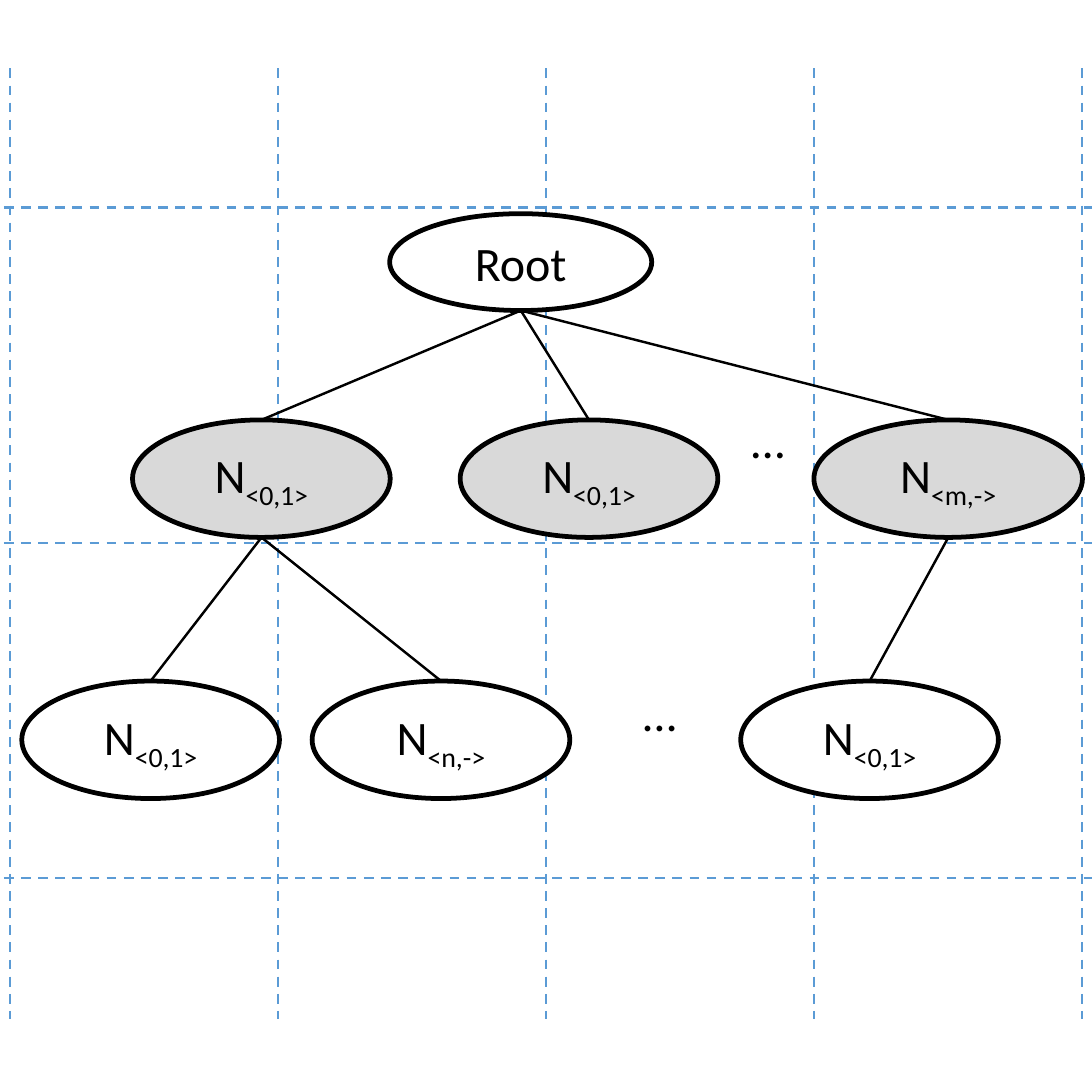
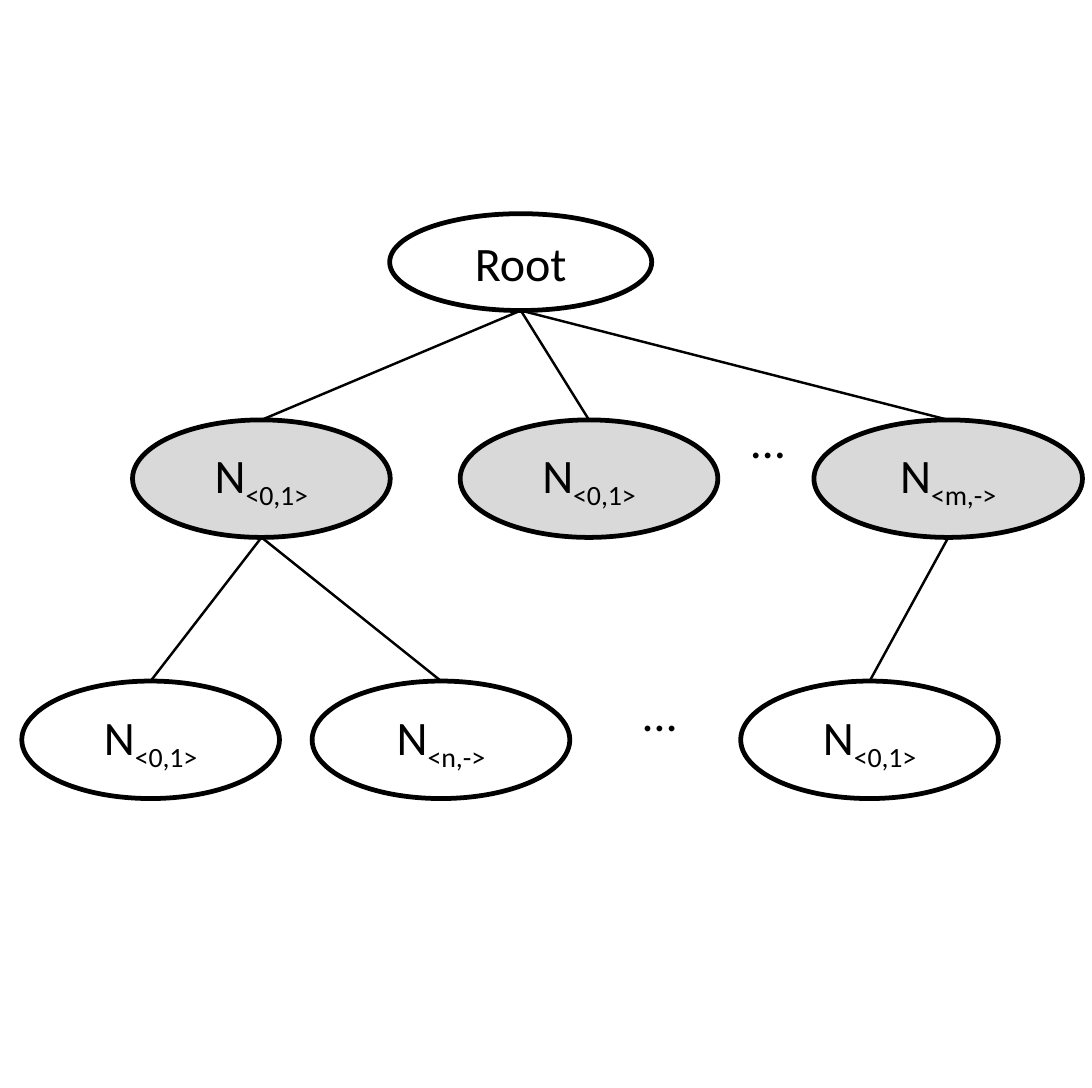
from dataclasses import dataclass
from lxml import etree
from pptx import Presentation
from pptx.dml.color import RGBColor
from pptx.enum import dml, shapes, text
from pptx.oxml.ns import qn
from pptx.util import Inches, Pt


@dataclass(frozen=True)
class Theme:
    font: str = "Calibri"
    size: float = 10
    ink: str = "000000"
    plain: str = "FFFFFF"
    shade: str = "D9D9D9"
    grid: str = "5B9BD5"
    rim: float = 1
    thin: float = 0.5


THEME = Theme()

# Slide size in units of 1/576 inch
WIDTH = Inches(1820 / 576)
HEIGHT = Inches(1814 / 576)


@dataclass(frozen=True)
class Box:
    """An area whose inner lengths are given in percent."""
    left: int
    top: int
    width: int
    height: int

    def x(self, share):
        return round(self.left + self.width * share / 100)

    def y(self, share):
        return round(self.top + self.height * share / 100)

    def area(self, left, top, width, height):
        return (self.x(left), self.y(top),
                round(self.width * width / 100), round(self.height * height / 100))


@dataclass(frozen=True)
class Level:
    """A row of the tree: its top, height and fill."""
    top: float
    height: float
    fill: str

    @property
    def foot(self):
        return self.top + self.height


@dataclass(frozen=True)
class Node:
    """An ellipse; parent is the index of the node above it."""
    level: Level
    mid: float
    label: str
    sub: str = ""
    parent: int = -1
    width: float = 23.6


ROOT = Level(19.65, 8.9, THEME.plain)
UPPER = Level(38.6, 10.8, THEME.shade)
LOWER = Level(62.6, 10.8, THEME.plain)

NODES = [
    Node(ROOT, 47.7, "Root", width=24),
    Node(UPPER, 23.95, "N", "<0,1>", 0),
    Node(UPPER, 53.95, "N", "<0,1>", 0),
    Node(UPPER, 86.85, "N", "<m,->", 0, 24.6),
    Node(LOWER, 13.8, "N", "<0,1>", 1),
    Node(LOWER, 40.4, "N", "<n,->", 1),
    Node(LOWER, 79.65, "N", "<0,1>", 3),
]
DOTS = [(65.7, 36.2), (55.8, 61.3)]


def color(code):
    return RGBColor.from_string(code)


def style(para):
    para.font.name = THEME.font
    para.font.size = Pt(THEME.size)
    para.font.color.rgb = color(THEME.ink)


def rule(slide, box, start, end, code, dash=False):
    line = slide.shapes.add_connector(
        shapes.MSO_CONNECTOR.STRAIGHT,
        box.x(start[0]), box.y(start[1]), box.x(end[0]), box.y(end[1]))
    line.line.color.rgb = color(code)
    line.line.width = Pt(THEME.thin)
    if dash:
        line.line.dash_style = dml.MSO_LINE.DASH
    etree.SubElement(line._element.spPr, qn("a:effectLst"))


def oval(slide, box, node):
    level = node.level
    shape = slide.shapes.add_shape(
        shapes.MSO_SHAPE.OVAL,
        *box.area(node.mid - node.width / 2, level.top, node.width, level.height))
    shape.shadow.inherit = False
    shape.fill.solid()
    shape.fill.fore_color.rgb = color(level.fill)
    shape.line.color.rgb = color(THEME.ink)
    shape.line.width = Pt(THEME.rim)
    frame = shape.text_frame
    frame.vertical_anchor = text.MSO_ANCHOR.MIDDLE
    para = frame.paragraphs[0]
    para.alignment = text.PP_ALIGN.CENTER
    style(para)
    para.add_run().text = node.label
    if node.sub:
        run = para.add_run()
        run.text = node.sub
        run._r.get_or_add_rPr().set("baseline", "-25000")


def dots(slide, box, left, top):
    frame = slide.shapes.add_textbox(*box.area(left, top, 7.3, 6.3)).text_frame
    frame.word_wrap = False
    frame.auto_size = text.MSO_AUTO_SIZE.SHAPE_TO_FIT_TEXT
    frame.text = "…"
    style(frame.paragraphs[0])


def grid(slide, box):
    # Five columns, then three rows that run past both edges
    for col in range(5):
        x = 0.9 + col * 24.55
        rule(slide, box, (x, 6.3), (x, 93.7), THEME.grid, True)
    for row in range(3):
        y = 19.1 + row * 30.8
        rule(slide, box, (-34.2, y), (134.2, y), THEME.grid, True)


def tree(slide, box):
    for node in NODES:
        oval(slide, box, node)
    # Branches from the foot of a parent to the top of its child
    for node in NODES:
        if node.parent >= 0:
            above = NODES[node.parent]
            rule(slide, box, (above.mid, above.level.foot),
                 (node.mid, node.level.top), THEME.ink)
    for spot in DOTS:
        dots(slide, box, *spot)


def main():
    deck = Presentation()
    deck.slide_width = WIDTH
    deck.slide_height = HEIGHT
    page = Box(0, 0, WIDTH, HEIGHT)
    for parts in ((grid, tree), (tree,)):
        slide = deck.slides.add_slide(deck.slide_layouts[6])
        for part in parts:
            part(slide, page)
    deck.save("out.pptx")


main()
